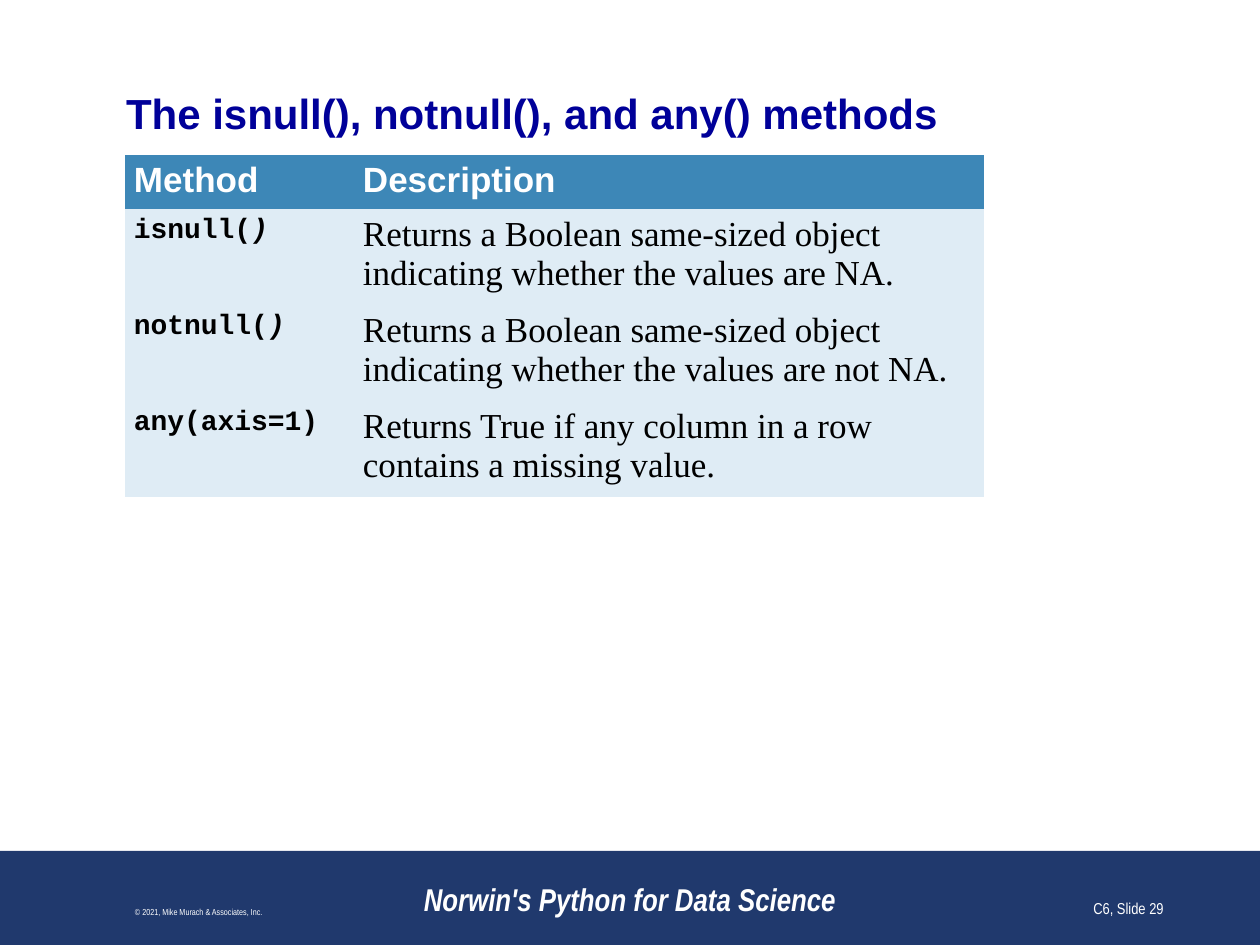
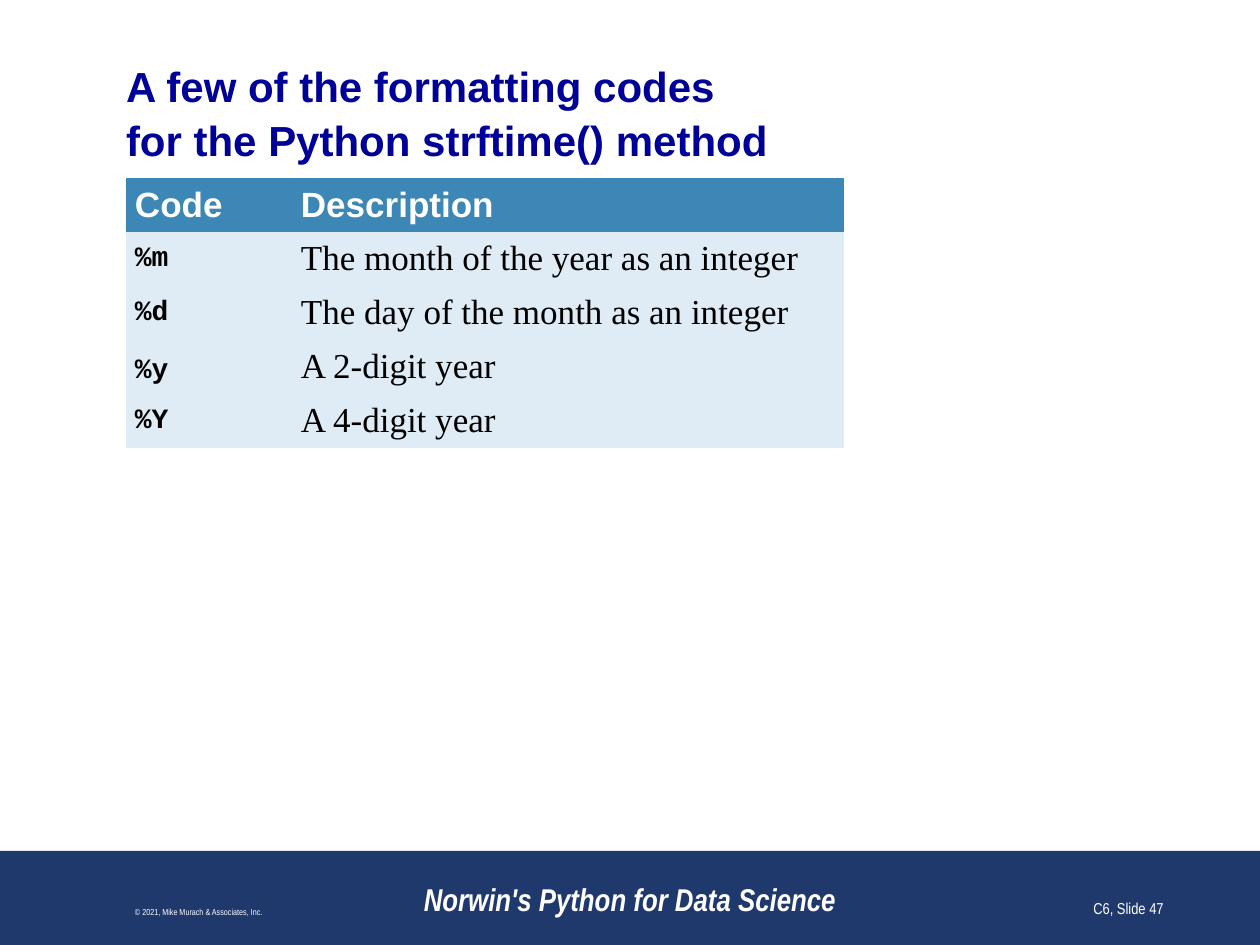
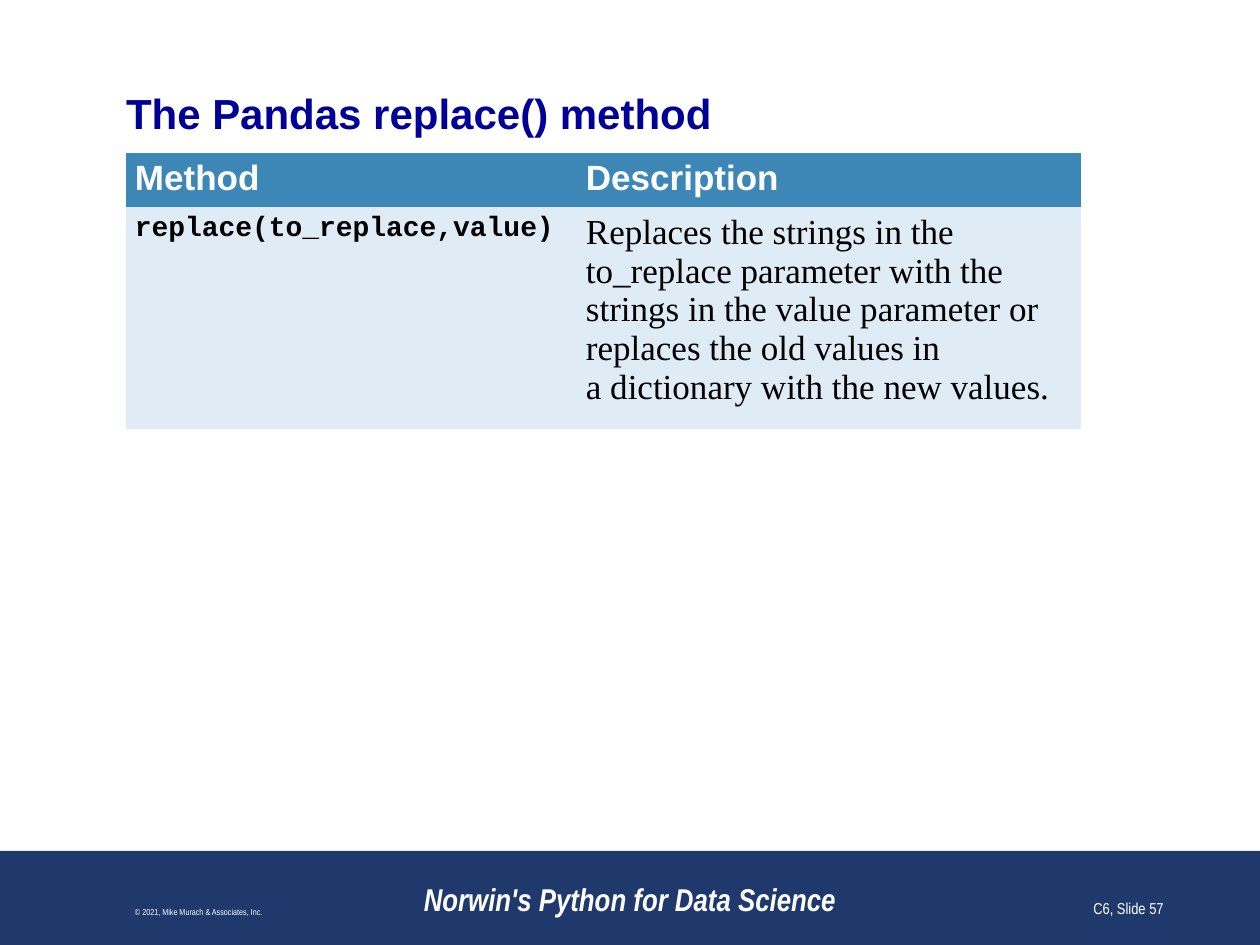
import pptx
import pptx.dml.color
import pptx.enum.shapes
import pptx.enum.text
import pptx.oxml.ns
import pptx.util

PX = 914400 // 126
SLIDE_W, SLIDE_H = 1260, 945
NO_STYLE = "{2D5ABB26-0587-4C30-8999-92F81FD0307C}"
ALIGN = pptx.enum.text.PP_ALIGN
ANCHOR = pptx.enum.text.MSO_ANCHOR
NAVY, TITLE_BLUE, HEADER_BLUE, PALE_BLUE = "20396D", "000099", "3D87B7", "DFECF5"
WHITE, BLACK = "FFFFFF", "000000"

TITLE = dict(font="Arial", size=24, color=TITLE_BLUE, bold=True)
HEADER = dict(font="Arial", size=20, color=WHITE, bold=True)
CODE = dict(font="Courier New", size=16, color=BLACK, bold=True)
CODE_ITALIC = dict(CODE, italic=True)
BODY = dict(font="Times New Roman", size=20, color=BLACK)
BOOK = dict(font="Arial Narrow", size=18, color=WHITE, bold=True, italic=True)
COPYRIGHT = dict(font="Arial Narrow", size=5, color=WHITE)
NUMBER = dict(font="Arial Narrow", size=9, color=WHITE)

SLIDES = [
    dict(
        number=29,
        title="The isnull(), notnull(), and any() methods",
        title_box=(126, 86, 1008, 50),
        table_at=(125, 155), columns=(229, 630), rows=(51, 90), anchor=ANCHOR.TOP,
        header=("Method", "Description"),
        body=[
            ([("isnull(", CODE), (")", CODE_ITALIC)],
             "Returns a Boolean same-sized object indicating whether the values are NA."),
            ([("notnull(", CODE), (")", CODE_ITALIC)],
             "Returns a Boolean same-sized object indicating whether the values are not NA."),
            ([("any(axis=1)", CODE)],
             "Returns True if any column in a row contains a missing value."),
        ],
    ),
    dict(
        number=47,
        title="A few of the formatting codes\nfor the Python strftime() method",
        title_box=(126, 60, 1008, 102),
        table_at=(126, 178), columns=(166, 552), rows=(52, 52), anchor=ANCHOR.MIDDLE,
        header=("Code", "Description"),
        body=[
            ([("%m", CODE)], "The month of the year as an integer"),
            ([("%d", CODE)], "The day of the month as an integer"),
            ([("%y", CODE), (" ", BODY)], "A 2-digit year"),
            ([("%Y", CODE)], "A 4-digit year"),
        ],
    ),
    dict(
        number=57,
        title="The Pandas replace() method",
        title_box=(126, 86, 1008, 50),
        table_at=(126, 153), columns=(451, 504), rows=(52, 207), anchor=ANCHOR.TOP,
        header=("Method", "Description"),
        body=[
            ([("replace(to_replace,value)", CODE)],
             "Replaces the strings in the\nto_replace parameter with the\n"
             "strings in the value parameter or\nreplaces the old values in\n"
             "a dictionary with the new values."),
        ],
    ),
]

FOOTERS = [
    ("Norwin's Python for Data Science", BOOK, (378, 861, 504, 63), ALIGN.CENTER),
    ("© 2021, Mike Murach & Associates, Inc.", COPYRIGHT, (10, 861, 378, 63), ALIGN.CENTER),
    ("C6, Slide {number}", NUMBER, (914, 861, 262, 63), ALIGN.RIGHT),
]


def rgb(value):
    return pptx.dml.color.RGBColor.from_string(value)


def emu(*lengths):
    return [length * PX for length in lengths]


def fill(target, color):
    target.fill.solid()
    target.fill.fore_color.rgb = rgb(color)


def write(paragraph, text, style):
    for index, line in enumerate(text.split("\n")):
        if index:
            paragraph.add_line_break()
        run = paragraph.add_run()
        run.text = line
        font = run.font
        font.name, font.size = style["font"], pptx.util.Pt(style["size"])
        font.bold, font.italic = style.get("bold", False), style.get("italic", False)
        font.color.rgb = rgb(style["color"])


def set_margins(target, across, down):
    target.margin_left = target.margin_right = across * PX
    target.margin_top = target.margin_bottom = down * PX


def add_band(slide, layout):
    band = slide.shapes.add_shape(
        pptx.enum.shapes.MSO_SHAPE.RECTANGLE, *emu(0, 851, SLIDE_W, SLIDE_H - 851))
    band.shadow.inherit = False
    fill(band, NAVY)
    band.line.fill.background()
    layout.shapes.element.insert(2, band.element)


def set_title(slide, text, box):
    title = slide.shapes.title
    title.left, title.top, title.width, title.height = emu(*box)
    frame = title.text_frame
    frame.word_wrap = True
    frame.auto_size = pptx.enum.text.MSO_AUTO_SIZE.SHAPE_TO_FIT_TEXT
    frame.vertical_anchor = ANCHOR.MIDDLE
    set_margins(frame, 0, 0)
    heading = frame.paragraphs[0]
    heading.alignment = ALIGN.LEFT
    heading.line_spacing = 1.07
    write(heading, text, TITLE)


def add_methods(slide, page):
    header = [[(name, HEADER)] for name in page["header"]]
    lines = [header] + [[code, [(meaning, BODY)]] for code, meaning in page["body"]]
    header_height, body_height = page["rows"]
    heights = [header_height] + [body_height] * len(page["body"])
    frame = slide.shapes.add_table(
        len(lines), len(header),
        *emu(*page["table_at"], sum(page["columns"]), sum(heights)))
    next(frame.element.iter(pptx.oxml.ns.qn("a:tableStyleId"))).text = NO_STYLE
    methods = frame.table
    for column, width in zip(methods.columns, page["columns"]):
        column.width = width * PX
    for row, height, line in zip(methods.rows, heights, lines):
        row.height = height * PX
        for cell, runs in zip(row.cells, line):
            fill(cell, HEADER_BLUE if line is header else PALE_BLUE)
            cell.vertical_anchor = page["anchor"]
            set_margins(cell, 9, 6)
            for text, style in runs:
                write(cell.text_frame.paragraphs[0], text, style)


def add_footers(slide, number):
    for text, style, box, alignment in FOOTERS:
        frame = slide.shapes.add_textbox(*emu(*box)).text_frame
        frame.word_wrap = True
        frame.vertical_anchor = ANCHOR.BOTTOM
        frame.paragraphs[0].alignment = alignment
        write(frame.paragraphs[0], text.format(number=number), style)


def main():
    deck = pptx.Presentation()
    deck.slide_width, deck.slide_height = emu(SLIDE_W, SLIDE_H)
    layout = deck.slide_layouts[5]
    for index, page in enumerate(SLIDES):
        slide = deck.slides.add_slide(layout)
        if index == 0:
            add_band(slide, layout)
        set_title(slide, page["title"], page["title_box"])
        add_methods(slide, page)
        add_footers(slide, page["number"])
    deck.save("out.pptx")


if __name__ == "__main__":
    main()
